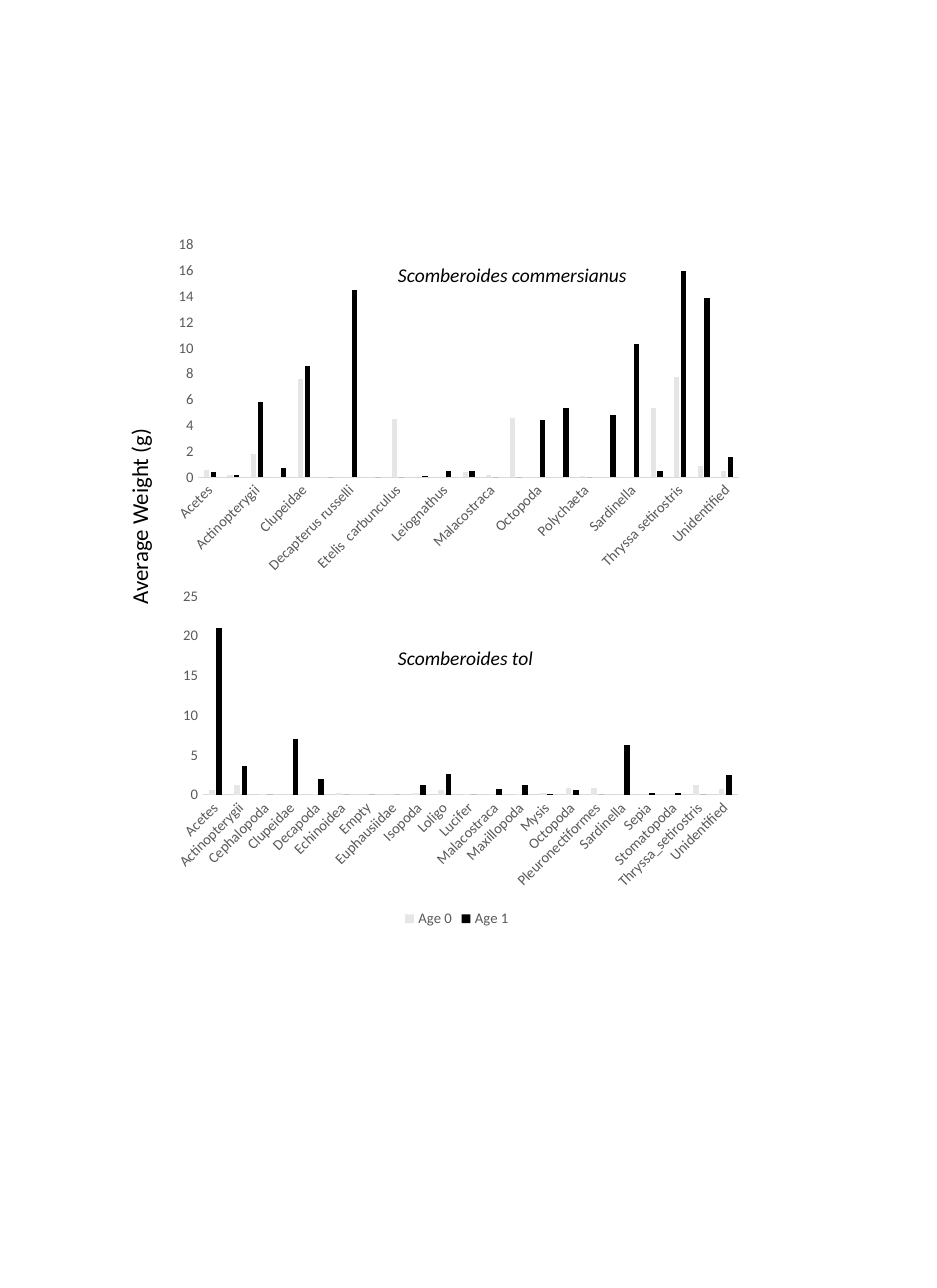
from dataclasses import dataclass

from pptx import Presentation
from pptx.chart.data import CategoryChartData
from pptx.dml.color import RGBColor
from pptx.enum.chart import XL_CHART_TYPE, XL_LEGEND_POSITION, XL_TICK_MARK
from pptx.enum.text import MSO_AUTO_SIZE
from pptx.util import Inches, Pt


@dataclass(frozen=True)
class Theme:
    font: str = "Calibri"
    ink: RGBColor = RGBColor(0x00, 0x00, 0x00)
    muted: RGBColor = RGBColor(0x59, 0x59, 0x59)
    baseline: RGBColor = RGBColor(0xD9, 0xD9, 0xD9)
    age_0: RGBColor = RGBColor(0xE7, 0xE6, 0xE6)
    age_1: RGBColor = RGBColor(0x00, 0x00, 0x00)
    tick_size: int = 9
    chart_size: int = 10
    species_size: int = 12
    axis_title_size: int = 14


THEME = Theme()

# Diet items: (Age 0, Age 1) average weight in grams
COMMERSIANUS_DIET = {
    "Acetes": (0.6, 0.4), "Actiniaria": (0.2, 0.2),
    "Actinopterygii": (1.8, 5.8), "Cephalopoda": (0, 0.7),
    "Clupeidae": (7.6, 8.6), "Cymothoa": (0, 0),
    "Decapterus russelli": (0, 14.5), "Empty": (0, 0),
    "Etelis  carbunculus": (4.5, 0), "Isopoda": (0, 0.1),
    "Leiognathus": (0, 0.5), "Loligo": (0.4, 0.5),
    "Malacostraca": (0.2, 0), "Nematalosa_nasus": (4.6, 0),
    "Octopoda": (0, 4.4), "Opisthopterus tardoore": (0, 5.4),
    "Polychaeta": (0.1, 0), "Pleuronectiformes": (0, 4.8),
    "Sardinella": (0, 10.3), "Sepia": (5.4, 0.5),
    "Thryssa setirostris": (7.8, 16), "Trichiurus lepturus": (0.9, 13.9),
    "Unidentified": (0.5, 1.6),
}
TOL_DIET = {
    "Acetes": (0.6, 21), "Actinopterygii": (1.3, 3.6),
    "Cephalopoda": (0.1, 0), "Clupeidae": (0, 7.1),
    "Decapoda": (0.1, 2), "Echinoidea": (0.2, 0),
    "Empty": (0, 0), "Euphausiidae": (0, 0),
    "Isopoda": (0.2, 1.3), "Loligo": (0.6, 2.6),
    "Lucifer": (0.1, 0), "Malacostraca": (0.1, 0.7),
    "Maxillopoda": (0.1, 1.2), "Mysis": (0.2, 0.1),
    "Octopoda": (0.9, 0.6), "Pleuronectiformes": (0.9, 0),
    "Sardinella": (0, 6.3), "Sepia": (0, 0.2),
    "Stomatopoda": (0, 0.2), "Thryssa_setirostris": (1.3, 0),
    "Unidentified": (0.8, 2.5),
}


def apply_format(target, values):
    for attribute, value in values.items():
        setattr(target, attribute, value)


def set_font(font, size, color, italic=False):
    apply_format(font, {"name": THEME.font, "size": Pt(size),
                        "bold": False, "italic": italic})
    font.color.rgb = color


def add_label(slide, box, text, size, italic=False, rotation=0):
    label = slide.shapes.add_textbox(*map(Inches, box))
    label.rotation = rotation
    frame = label.text_frame
    apply_format(frame, {"text": text, "word_wrap": False,
                         "auto_size": MSO_AUTO_SIZE.SHAPE_TO_FIT_TEXT})
    set_font(frame.paragraphs[0].runs[0].font, size, THEME.ink, italic)


def format_axes(chart):
    for axis in (chart.category_axis, chart.value_axis):
        apply_format(axis, {"has_major_gridlines": False,
                            "major_tick_mark": XL_TICK_MARK.NONE,
                            "minor_tick_mark": XL_TICK_MARK.NONE})
        set_font(axis.tick_labels.font, THEME.tick_size, THEME.muted)

    diet_line = chart.category_axis.format.line
    diet_line.color.rgb = THEME.baseline
    diet_line.width = Pt(0.75)
    chart.value_axis.format.line.fill.background()

    # Slant the diet item names by 45 degrees
    for body in chart.category_axis._element.xpath("c:txPr/a:bodyPr"):
        body.set("rot", "-2700000")
        body.set("vert", "horz")


def add_diet_panel(slide, box, diet, species, species_offset, has_legend):
    left, top, width, height = box

    # Weights by age
    weights = CategoryChartData()
    weights.categories = list(diet)
    for age, values in zip(("Age 0", "Age 1"), zip(*diet.values())):
        weights.add_series(age, values)
    chart = slide.shapes.add_chart(XL_CHART_TYPE.COLUMN_CLUSTERED,
                                   *map(Inches, box), weights).chart
    apply_format(chart, {"has_title": False, "has_legend": has_legend})
    set_font(chart.font, THEME.chart_size, THEME.ink)
    format_axes(chart)

    # Columns
    columns = chart.plots[0]
    apply_format(columns, {"gap_width": 219, "overlap": -27,
                           "vary_by_categories": False})
    for age, color in zip(columns.series, (THEME.age_0, THEME.age_1)):
        age.format.fill.solid()
        age.format.fill.fore_color.rgb = color

    # Age key
    if has_legend:
        apply_format(chart.legend, {"position": XL_LEGEND_POSITION.BOTTOM,
                                    "include_in_layout": False})
        set_font(chart.legend.font, THEME.tick_size, THEME.muted)

    # Species name over the columns
    dx, dy, name_width = species_offset
    add_label(slide, (left + dx, top + dy, name_width, 0.3), species,
              THEME.species_size, italic=True)


def main():
    prs = Presentation()
    prs.slide_width, prs.slide_height = Inches(8), Inches(11)
    slide = prs.slides.add_slide(prs.slide_layouts[6])

    add_diet_panel(slide, (1.4, 1.96, 5.01, 3), COMMERSIANUS_DIET,
                   "Scomberoides commersianus", (1.9, 0.24, 2.2), False)
    add_diet_panel(slide, (1.4, 4.96, 5, 3), TOL_DIET,
                   "Scomberoides tol", (1.9, 0.51, 1.36), True)

    # Shared value axis title
    add_label(slide, (0.33, 4.23, 1.72, 0.34), "Average Weight (g)",
              THEME.axis_title_size, rotation=270)

    prs.save("out.pptx")


if __name__ == "__main__":
    main()
